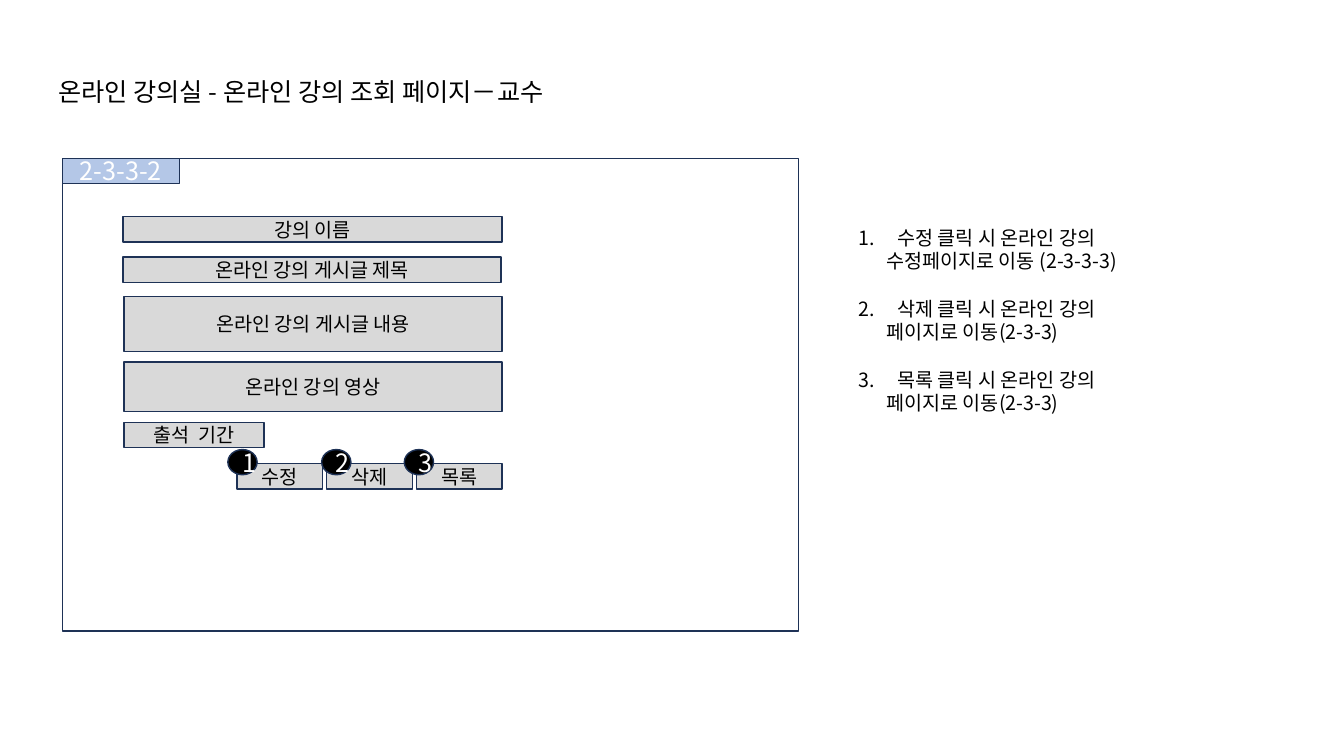
from pptx import Presentation
from pptx.util import Inches, Pt
from pptx.dml.color import RGBColor
from pptx.enum.shapes import MSO_SHAPE
from pptx.enum.text import MSO_ANCHOR, MSO_AUTO_SIZE, PP_ALIGN
from lxml.etree import SubElement
from pptx.oxml.ns import qn

FONT = "Noto Sans CJK KR"
HUES = {"white": "FFFFFF", "black": "000000", "navy": "1E3256",
        "blue": "B4C7E7", "gray": "D9D9D9"}


def write(para, text, size=14, hue="black", align=None):
    run = para.add_run()
    run.text = text
    run.font.size = Pt(size)
    run.font.name = FONT
    run.font.color.rgb = RGBColor.from_string(HUES[hue])
    SubElement(run.font._element, qn("a:ea"), typeface=FONT)
    para.alignment = align


def box(left, top, width, height, text="", fill="gray", kind=MSO_SHAPE.RECTANGLE, **style):
    shape = slide.shapes.add_shape(kind, Inches(left), Inches(top), Inches(width), Inches(height))
    shape.shadow.inherit = False
    shape.fill.solid()
    shape.fill.fore_color.rgb = RGBColor.from_string(HUES[fill])
    shape.line.color.rgb = RGBColor.from_string(HUES["navy"])
    shape.line.width = Pt(1)
    if text:
        frame = shape.text_frame
        frame.word_wrap = True
        frame.vertical_anchor = MSO_ANCHOR.MIDDLE
        write(frame.paragraphs[0], text, align=PP_ALIGN.CENTER, **style)


deck = Presentation()
deck.slide_width, deck.slide_height = Inches(13.33), Inches(7.5)
slide = deck.slides.add_slide(deck.slide_layouts[6])

# Page frame and its code
box(0.62, 1.57, 7.3, 4.69, fill="white")
box(0.62, 1.57, 1.16, 0.25, "2-3-3-2", fill="blue", size=18, hue="white")

# Title
title = slide.shapes.add_textbox(Inches(0.48), Inches(0.71), Inches(5.64), Inches(0.4))
title.text_frame.word_wrap = False
title.text_frame.auto_size = MSO_AUTO_SIZE.SHAPE_TO_FIT_TEXT
write(title.text_frame.paragraphs[0], "온라인 강의실 - 온라인 강의 조회 페이지－교수", size=18)

# Page fields
for left, top, width, height, text in [
    (1.22, 2.15, 3.76, 0.25, "강의 이름"),
    (1.22, 2.55, 3.75, 0.25, "온라인 강의 게시글 제목"),
    (1.23, 2.94, 3.75, 0.55, "온라인 강의 게시글 내용"),
    (1.23, 3.59, 3.75, 0.49, "온라인 강의 영상"),
    (1.23, 4.19, 1.39, 0.25, "출석  기간"),
]:
    box(left, top, width, height, text)

# Buttons, then the number marks on top of them
for i, text in enumerate(["수정", "삭제", "목록"]):
    box(2.35 + 0.89 * i, 4.6, 0.85, 0.25, text)
for num, left in enumerate([2.26, 3.19, 4.01], 1):
    box(left, 4.46, 0.29, 0.25, str(num), fill="black", kind=MSO_SHAPE.OVAL,
        size=18, hue="white")

# Numbered notes: a first line with its number, then an indented second line
notes = slide.shapes.add_textbox(Inches(8.42), Inches(1.72), Inches(4.29), Inches(2.46))
frame = notes.text_frame
frame.word_wrap = True
frame.margin_top = Inches(0.52)
for num, (head, tail) in enumerate([
    ("수정 클릭 시 온라인 강의", "수정페이지로 이동 (2-3-3-3)"),
    ("삭제 클릭 시 온라인 강의", "페이지로 이동(2-3-3)"),
    ("목록 클릭 시 온라인 강의", "페이지로 이동(2-3-3)"),
], 1):
    first = frame.paragraphs[0] if num == 1 else frame.add_paragraph()
    write(first, head)
    props = first._p.get_or_add_pPr()
    props.set("marL", str(Inches(0.38)))
    props.set("indent", str(-Inches(0.38)))
    SubElement(props, qn("a:buFont"), typeface=FONT)
    SubElement(props, qn("a:buAutoNum"), type="arabicPeriod", startAt=str(num))
    second = frame.add_paragraph()
    write(second, tail)
    second.space_after = Pt(17)
    second._p.get_or_add_pPr().set("marL", str(Inches(0.27)))

deck.save("out.pptx")
